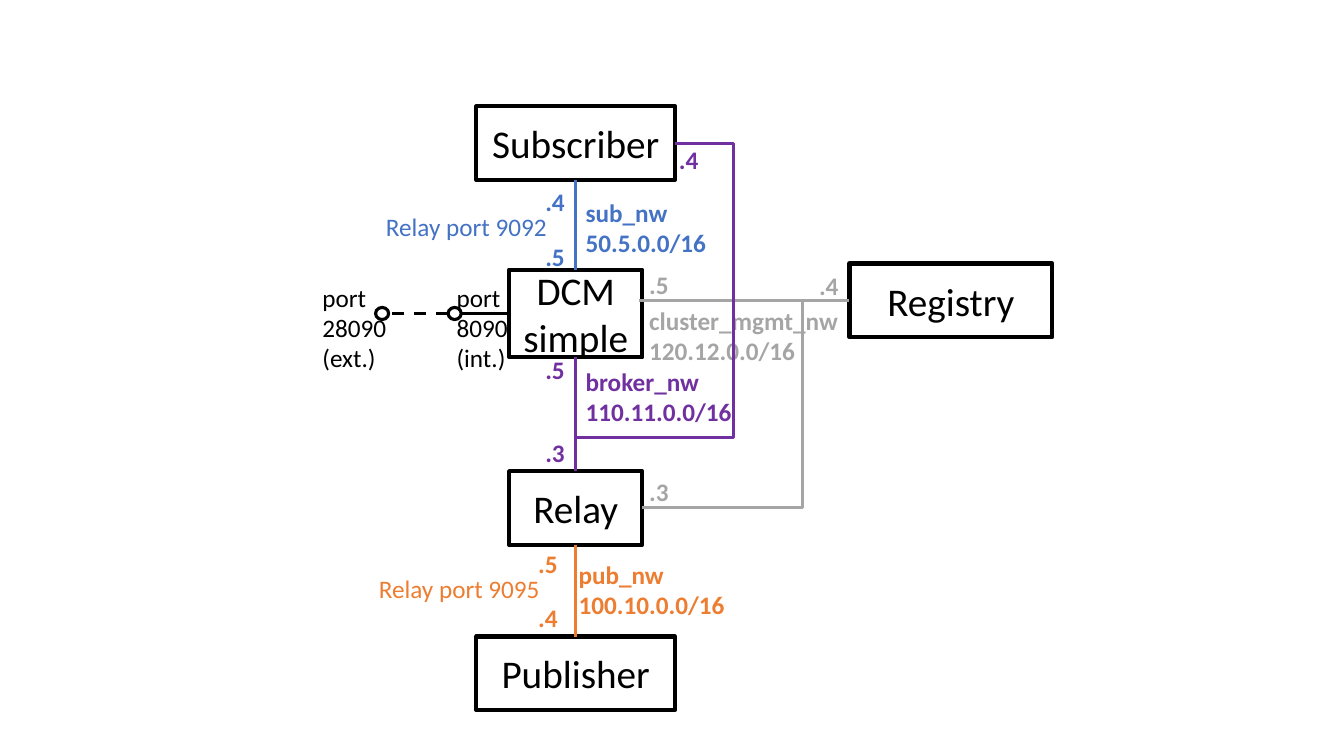
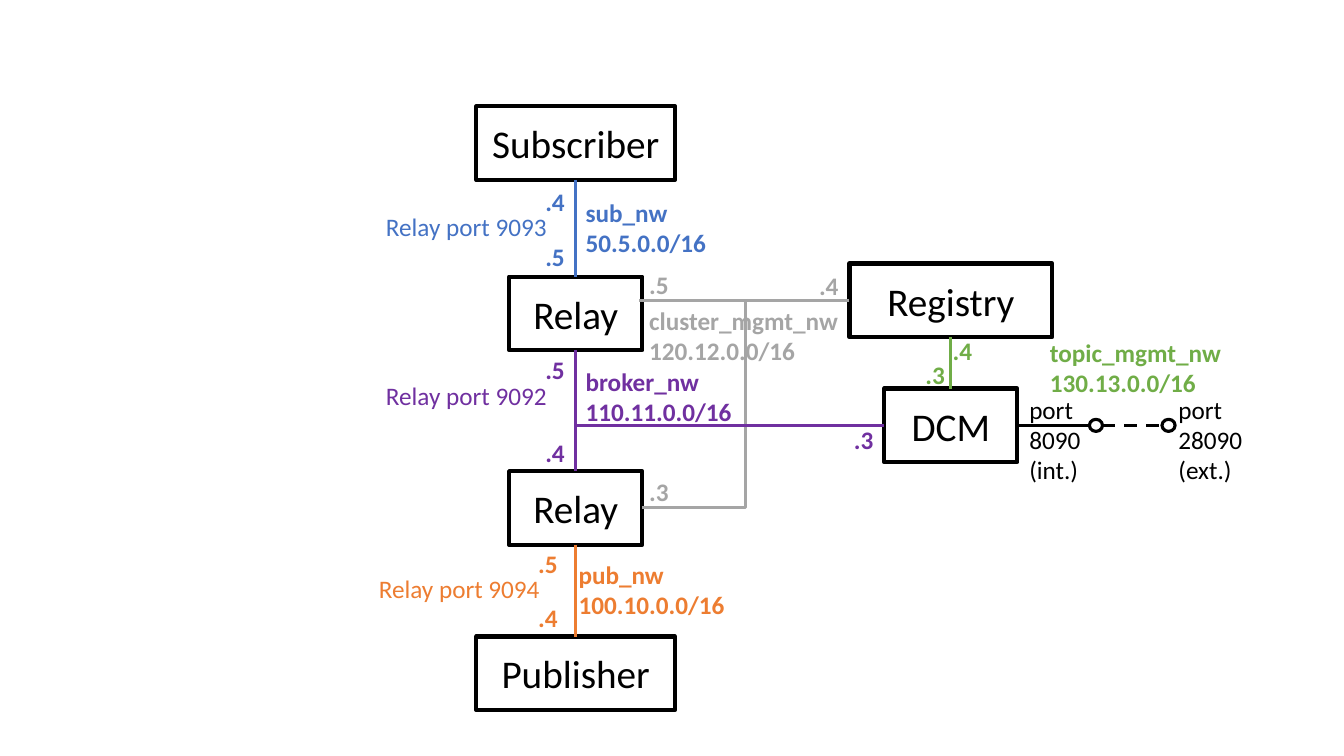
from dataclasses import dataclass

from lxml import etree
from pptx import Presentation
from pptx.dml.color import RGBColor
from pptx.enum.dml import MSO_LINE
from pptx.enum.shapes import MSO_CONNECTOR, MSO_SHAPE
from pptx.enum.text import MSO_ANCHOR, PP_ALIGN
from pptx.oxml.ns import qn
from pptx.util import Inches, Pt

RECTANGLE, OVAL = MSO_SHAPE.RECTANGLE, MSO_SHAPE.OVAL
STRAIGHT, ELBOW = MSO_CONNECTOR.STRAIGHT, MSO_CONNECTOR.ELBOW
DASH = MSO_LINE.DASH
CENTER, MIDDLE = PP_ALIGN.CENTER, MSO_ANCHOR.MIDDLE


@dataclass(frozen=True)
class Theme:
    """Colours, type sizes and line widths of both slides."""
    font: str = "Calibri"
    node_size: float = 28
    label_size: float = 18
    frame: float = 3
    wire: float = 2.25
    ink: str = "000000"
    paper: str = "FFFFFF"
    sub: str = "4472C4"
    broker: str = "7030A0"
    cluster: str = "A5A5A5"
    pub: str = "ED7D31"
    topic: str = "70AD47"


@dataclass(frozen=True)
class Box:
    """A rectangle in inches."""
    left: float
    top: float
    width: float
    height: float

    @property
    def right(self):
        return self.left + self.width

    @property
    def bottom(self):
        return self.top + self.height

    @property
    def x(self):
        return self.left + self.width / 2

    @property
    def y(self):
        return self.top + self.height / 2

    def inches(self):
        return [Inches(v) for v in (self.left, self.top, self.width, self.height)]


THEME = Theme()
SLIDE_WIDTH, SLIDE_HEIGHT = 13.33, 7.5
STACK, SIDE = 5.71, 9.43                      # column centres
SUB_ROW, BROKER_ROW, RELAY_ROW, PUB_ROW = 1.42, 3.11, 5.04, 6.68
REGISTRY_ROW, DCM_ROW = 2.98, 4.22
NARROW, WIDE, REGISTRY_WIDTH = 1.32, 1.97, 2.01
NODE_HEIGHT, TALL = 0.73, 0.87
HOST = 0.4                                    # side of a host label
LINE_HEIGHT, LABEL_PADDING = 0.305, 0.1
PORT_WIDTH = 1.86
RING_WIDTH, RING_HEIGHT, RING_STEP = 0.13, 0.12, 0.72


def centred(x, y, width, height=NODE_HEIGHT):
    """Return a box around a centre point."""
    return Box(x - width / 2, y - height / 2, width, height)


def write(frame, text, size, color, bold=False):
    """Fill a text frame and format its runs."""
    frame.text = text
    for paragraph in frame.paragraphs:
        for run in paragraph.runs:
            run.font.name = THEME.font
            run.font.size = Pt(size)
            run.font.bold = bold
            run.font.color.rgb = RGBColor.from_string(color)


def outlined(slide, preset, box, width):
    """Add a white shape with a black outline."""
    shape = slide.shapes.add_shape(preset, *box.inches())
    shape.shadow.inherit = False
    shape.fill.solid()
    shape.fill.fore_color.rgb = RGBColor.from_string(THEME.paper)
    shape.line.color.rgb = RGBColor.from_string(THEME.ink)
    shape.line.width = Pt(width)
    return shape


def node(slide, box, name):
    """Draw a named component and return its box."""
    frame = outlined(slide, RECTANGLE, box, THEME.frame).text_frame
    frame.word_wrap = True
    frame.vertical_anchor = MIDDLE
    write(frame, name, THEME.node_size, THEME.ink)
    frame.paragraphs[0].alignment = CENTER
    return box


def label(slide, left, top, width, text, color, bold=True):
    """Write a label whose height follows its number of lines."""
    height = LABEL_PADDING + LINE_HEIGHT * len(text.split("\n"))
    area = slide.shapes.add_textbox(*Box(left, top, width, height).inches())
    area.text_frame.word_wrap = False
    write(area.text_frame, text, THEME.label_size, color, bold)


def wire(slide, start, end, color, bend=None, dash=None):
    """Connect two points, turning at the abscissa bend if one is given."""
    kind = STRAIGHT if bend is None else ELBOW
    ends = [Inches(v) for v in (*start, *end)]
    connector = slide.shapes.add_connector(kind, *ends)
    connector.line.color.rgb = RGBColor.from_string(color)
    connector.line.width = Pt(THEME.wire)
    if dash is not None:
        connector.line.dash_style = dash
    properties = connector._element.spPr
    etree.SubElement(properties, qn("a:effectLst"))
    if bend is not None:
        share = round(100000 * (bend - start[0]) / (end[0] - start[0]))
        guides = properties.find(qn("a:prstGeom")).find(qn("a:avLst"))
        etree.SubElement(guides, qn("a:gd"), name="adj1", fmla=f"val {share}")


def stack_network(slide, upper, lower, channel, color, network, hosts, port=None):
    """Link two stacked nodes and label the network inside the channel box."""
    wire(slide, (upper.x, upper.bottom), (lower.x, lower.top), color)
    label(slide, channel.left, channel.top + 0.11, channel.width, network, color)
    for host, top in zip(hosts, (channel.top, channel.bottom - HOST)):
        label(slide, channel.left - HOST, top, HOST, host, color)
    if port:
        label(slide, channel.left - 1.98, channel.top + 0.25, PORT_WIDTH,
              port, color, bold=False)


def cluster_network(slide, relay, registry, branch):
    """Link the registry to the stack, with a branch down to the lower relay."""
    color, left, row = THEME.cluster, relay.right - 0.03, registry.y
    wire(slide, (registry.left, row), (left, row), color)
    wire(slide, (relay.right, relay.y), (branch, row), color, bend=branch)
    label(slide, left, row, registry.left - left,
          "cluster_mgmt_nw\n120.12.0.0/16", color)
    for x, y, host in ((left, row - 0.36, ".5"),
                       (registry.left - HOST, row - 0.35, ".4"),
                       (left, relay.y - 0.36, ".3")):
        label(slide, x, y, HOST, host, color)


def topic_network(slide, registry, dcm):
    """Link the registry to the DCM below it."""
    color = THEME.topic
    wire(slide, (registry.x, registry.bottom), (dcm.x, dcm.top), color)
    label(slide, registry.right - 0.12, registry.bottom - 0.05, 1.91,
          "topic_mgmt_nw\n130.13.0.0/16", color)
    label(slide, dcm.x - 0.35, dcm.top - 0.34, HOST, ".3", color)
    label(slide, registry.x - 0.08, registry.bottom - 0.07, HOST, ".4", color)


def management_port(slide, dcm, side, reach, internal_left, external_left):
    """Draw the DCM's internal and external ports; side is -1 left, 1 right."""
    edge = dcm.right if side > 0 else dcm.left
    near = edge + side * reach
    far = near + side * RING_STEP
    radius = side * RING_WIDTH / 2
    wire(slide, (edge, dcm.y), (near - radius, dcm.y), THEME.ink)
    wire(slide, (near + radius, dcm.y), (far - radius, dcm.y), THEME.ink, dash=DASH)
    for x in (near, far):
        outlined(slide, OVAL, centred(x, dcm.y, RING_WIDTH, RING_HEIGHT), THEME.wire)
    top = dcm.y - 0.36
    label(slide, internal_left, top, 0.71, "port\n8090\n(int.)", THEME.ink, False)
    label(slide, external_left, top, 0.84, "port\n28090\n(ext.)", THEME.ink, False)


def topology(slide, middle_name, middle_height, sub_port, pub_port,
             broker_port, broker_hosts, branch):
    """Draw what both layouts share and return the nodes to attach to."""
    subscriber = node(slide, centred(STACK, SUB_ROW, WIDE), "Subscriber")
    middle = node(slide, centred(STACK, BROKER_ROW, NARROW, middle_height), middle_name)
    relay = node(slide, centred(STACK, RELAY_ROW, NARROW), "Relay")
    publisher = node(slide, centred(STACK, PUB_ROW, WIDE), "Publisher")
    registry = node(slide, centred(SIDE, REGISTRY_ROW, REGISTRY_WIDTH), "Registry")
    stack_network(slide, subscriber, middle, Box(STACK, 1.8, 1.41, 0.94), THEME.sub,
                  "sub_nw\n50.5.0.0/16", (".4", ".5"), sub_port)
    stack_network(slide, middle, relay, Box(STACK, 3.47, 1.66, 1.22), THEME.broker,
                  "broker_nw\n110.11.0.0/16", broker_hosts, broker_port)
    stack_network(slide, relay, publisher, Box(STACK - 0.07, 5.39, 1.66, 0.94),
                  THEME.pub, "pub_nw\n100.10.0.0/16", (".5", ".4"), pub_port)
    cluster_network(slide, relay, registry, branch)
    return subscriber, middle, registry


def simple_slide(slide):
    """DCM sits in the stack and the subscriber joins the broker network."""
    subscriber, dcm, _ = topology(
        slide, "DCM simple", TALL, "Relay port 9092", "Relay port 9095",
        None, (".5", ".3"), branch=7.96)
    management_port(slide, dcm, -1, 0.54, 4.43, 3.1)
    wire(slide, (subscriber.right, subscriber.y), (STACK, 4.34),
         THEME.broker, bend=7.28)
    label(slide, subscriber.right - 0.06, subscriber.y - 0.04, HOST, ".4", THEME.broker)


def full_slide(slide):
    """Two relays in the stack, with the DCM beside them."""
    _, _, registry = topology(
        slide, "Relay", NODE_HEIGHT, "Relay port 9093", "Relay port 9094",
        "Relay port 9092", (".5", ".4"), branch=7.39)
    dcm = node(slide, centred(SIDE, DCM_ROW, NARROW), "DCM")
    wire(slide, (dcm.left, dcm.y), (STACK, dcm.y), THEME.broker)
    label(slide, dcm.left - HOST, dcm.y - 0.06, HOST, ".3", THEME.broker)
    topic_network(slide, registry, dcm)
    management_port(slide, dcm, 1, 0.78, 10.11, 11.59)


def main():
    """Build and save the presentation."""
    deck = Presentation()
    deck.slide_width, deck.slide_height = Inches(SLIDE_WIDTH), Inches(SLIDE_HEIGHT)
    blank = deck.slide_layouts[6]
    for draw in (simple_slide, full_slide):
        draw(deck.slides.add_slide(blank))
    deck.save("out.pptx")


main()
